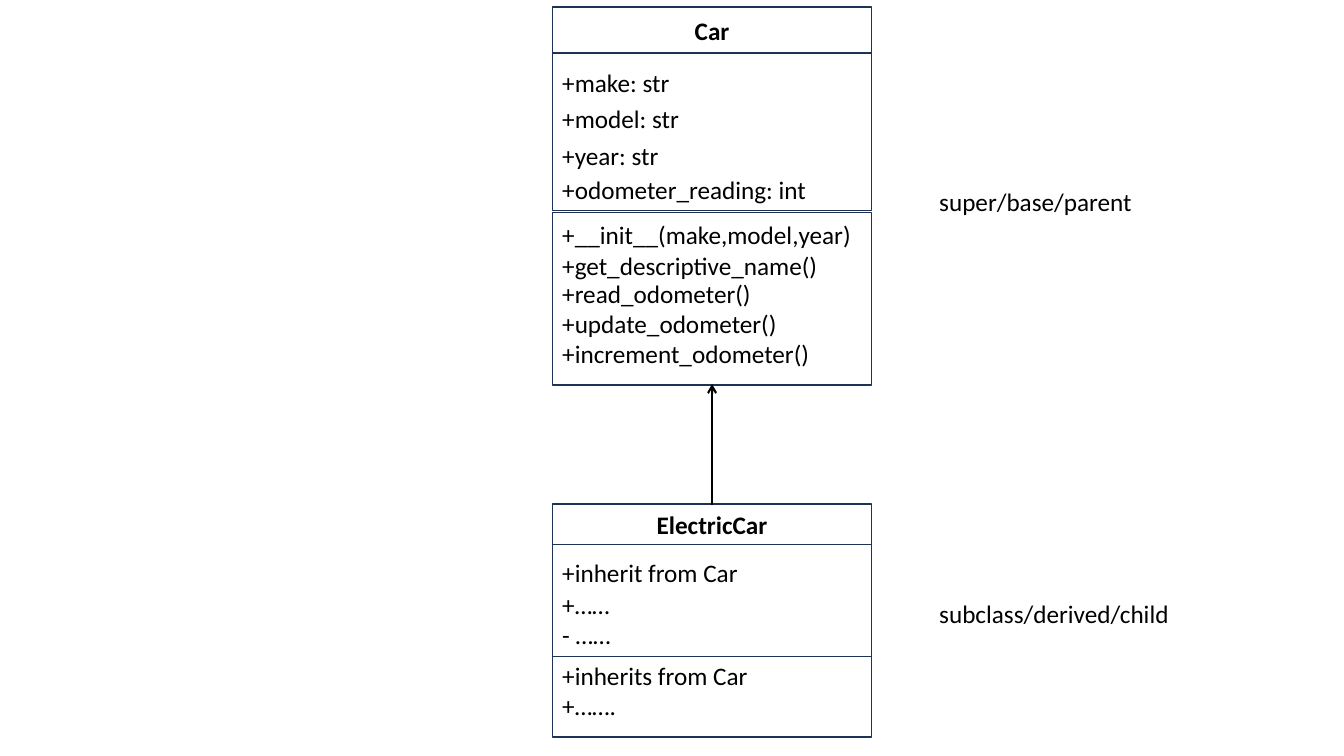
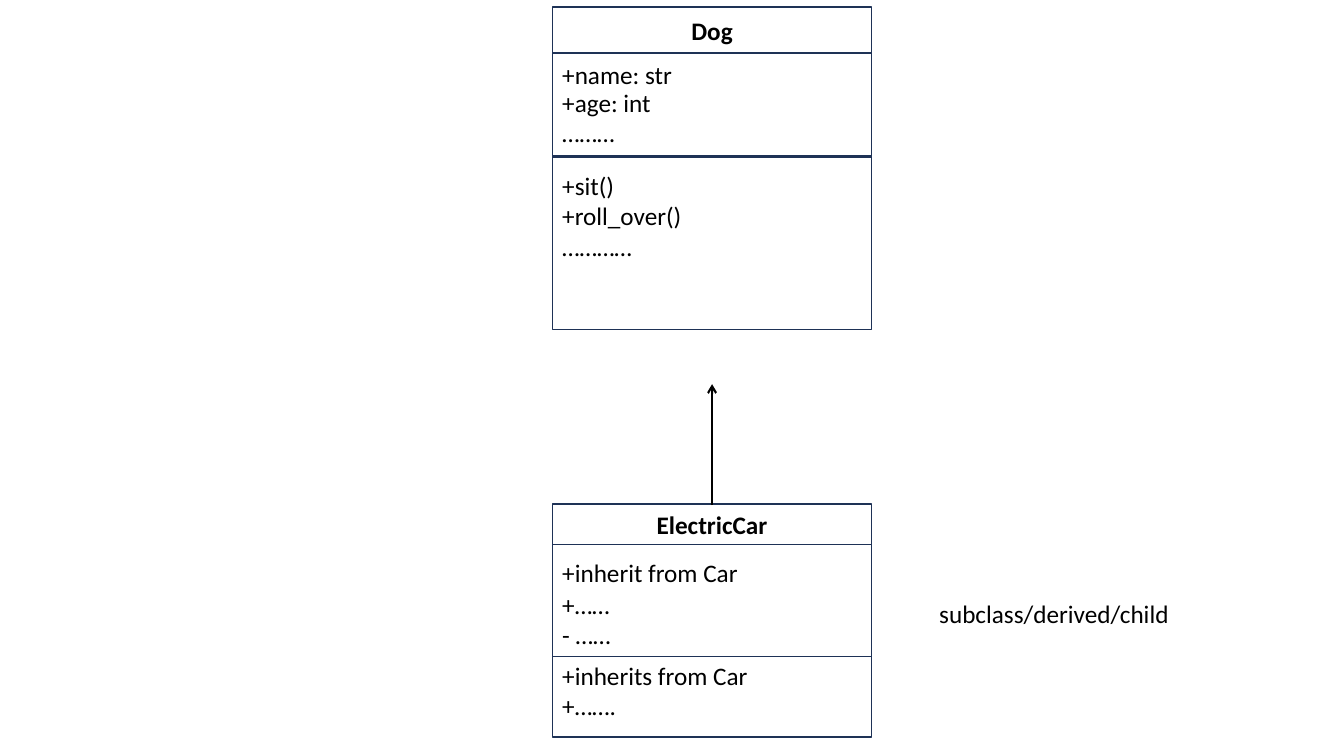
from dataclasses import dataclass

from lxml.etree import SubElement
from pptx import Presentation
from pptx.dml.color import RGBColor
from pptx.enum.shapes import MSO_CONNECTOR, MSO_SHAPE
from pptx.enum.text import MSO_ANCHOR, MSO_AUTO_SIZE, PP_ALIGN
from pptx.oxml.ns import qn
from pptx.shapes.autoshape import Shape
from pptx.slide import Slide
from pptx.util import Cm, Pt

COLORS = {"border": "1E3256", "ink": "000000"}
FONT = "Calibri"
CLASS_LEFT, CLASS_WIDTH = 13.92, 8.05
ARROW_X = CLASS_LEFT + CLASS_WIDTH / 2
ARROW_START, ARROW_END = 12.73, 9.68
ROLE_LEFT = 23.42
LINE_HEIGHT, TEXT_MARGINS = 0.77, 0.25


@dataclass(frozen=True)
class Compartment:
    top: float
    height: float


@dataclass(frozen=True)
class Members:
    top: float
    lines: tuple[str, ...]


@dataclass(frozen=True)
class ClassDiagram:
    name: str
    header: Compartment
    attributes: Compartment
    methods: Compartment
    members: tuple[Members, ...]


@dataclass(frozen=True)
class Role:
    text: str
    top: float
    width: float


CAR = ClassDiagram(
    "Car",
    Compartment(0.18, 1.16),
    Compartment(1.34, 3.97),
    Compartment(5.36, 4.34),
    (
        Members(1.57, ("+make: str",)),
        Members(2.49, ("+model: str",)),
        Members(3.4, ("+year: str",)),
        Members(4.27, ("+odometer_reading: int",)),
        Members(5.41, ("+__init__(make,model,year)", "+get_descriptive_name()")),
        Members(6.88, ("+read_odometer()", "+update_odometer()", "+increment_odometer()")),
    ),
)
DOG = ClassDiagram(
    "Dog",
    CAR.header,
    Compartment(1.34, 2.59),
    Compartment(3.96, 4.34),
    (
        Members(1.37, ("+name: str",)),
        Members(2.08, ("+age: int", "………")),
        Members(4.17, ("+sit()", "+roll_over()", "…………")),
    ),
)
ELECTRIC_CAR = ClassDiagram(
    "ElectricCar",
    Compartment(12.7, 1.02),
    Compartment(13.72, 2.82),
    Compartment(16.54, 2.03),
    (
        Members(13.92, ("+inherit from Car",)),
        Members(14.73, ("+……", "- ……")),
        Members(16.51, ("+inherits from Car", "+…….")),
    ),
)
PARENT_ROLE = Role("super/base/parent", 4.57, 5.44)
CHILD_ROLE = Role("subclass/derived/child", 14.96, 6.6)


def color(name: str) -> RGBColor:
    return RGBColor.from_string(COLORS[name])


def write_text(
    shape: Shape,
    *lines: str,
    bold: bool = False,
    align: PP_ALIGN = PP_ALIGN.LEFT,
    anchor: MSO_ANCHOR = MSO_ANCHOR.TOP,
    wrap: bool = True,
) -> None:
    frame = shape.text_frame
    frame.word_wrap = wrap
    frame.vertical_anchor = anchor
    frame.text = "\n".join(lines)
    for paragraph in frame.paragraphs:
        paragraph.alignment = align
        font = paragraph.runs[0].font
        font.name, font.size, font.bold = FONT, Pt(18), bold
        font.color.rgb = color("ink")


def draw_compartment(shapes, compartment: Compartment) -> Shape:
    shape = shapes.add_shape(
        MSO_SHAPE.RECTANGLE,
        Cm(CLASS_LEFT), Cm(compartment.top), Cm(CLASS_WIDTH), Cm(compartment.height),
    )
    shape.shadow.inherit = False
    shape.fill.background()
    shape.line.color.rgb = color("border")
    shape.line.width = Pt(1)
    return shape


def draw_class(slide: Slide, diagram: ClassDiagram) -> None:
    shapes = slide.shapes.add_group_shape().shapes
    header = draw_compartment(shapes, diagram.header)
    write_text(header, diagram.name, bold=True, align=PP_ALIGN.CENTER, anchor=MSO_ANCHOR.MIDDLE)
    for compartment in (diagram.attributes, diagram.methods):
        draw_compartment(shapes, compartment)
    for members in diagram.members:
        height = TEXT_MARGINS + LINE_HEIGHT * len(members.lines)
        box = shapes.add_textbox(Cm(CLASS_LEFT), Cm(members.top), Cm(CLASS_WIDTH), Cm(height))
        write_text(box, *members.lines)


def draw_inheritance(slide: Slide) -> None:
    arrow = slide.shapes.add_connector(
        MSO_CONNECTOR.STRAIGHT, Cm(ARROW_X), Cm(ARROW_START), Cm(ARROW_X), Cm(ARROW_END)
    )
    arrow.line.color.rgb = color("ink")
    arrow.line.width = Pt(1.5)
    SubElement(arrow.line._get_or_add_ln(), qn("a:tailEnd"), type="arrow")
    SubElement(arrow._element.spPr, qn("a:effectLst"))


def draw_role(slide: Slide, role: Role) -> None:
    box = slide.shapes.add_textbox(
        Cm(ROLE_LEFT), Cm(role.top), Cm(role.width), Cm(TEXT_MARGINS + LINE_HEIGHT)
    )
    write_text(box, role.text, wrap=False)
    box.text_frame.auto_size = MSO_AUTO_SIZE.SHAPE_TO_FIT_TEXT


def build_slide(presentation, parent: ClassDiagram, roles: tuple[Role, ...]) -> None:
    slide = presentation.slides.add_slide(presentation.slide_layouts[6])
    for diagram in (parent, ELECTRIC_CAR):
        draw_class(slide, diagram)
    draw_inheritance(slide)
    for role in roles:
        draw_role(slide, role)


def main() -> None:
    presentation = Presentation()
    presentation.slide_width, presentation.slide_height = Cm(33.87), Cm(19.05)
    build_slide(presentation, CAR, (PARENT_ROLE, CHILD_ROLE))
    build_slide(presentation, DOG, (CHILD_ROLE,))
    presentation.save("out.pptx")


if __name__ == "__main__":
    main()
